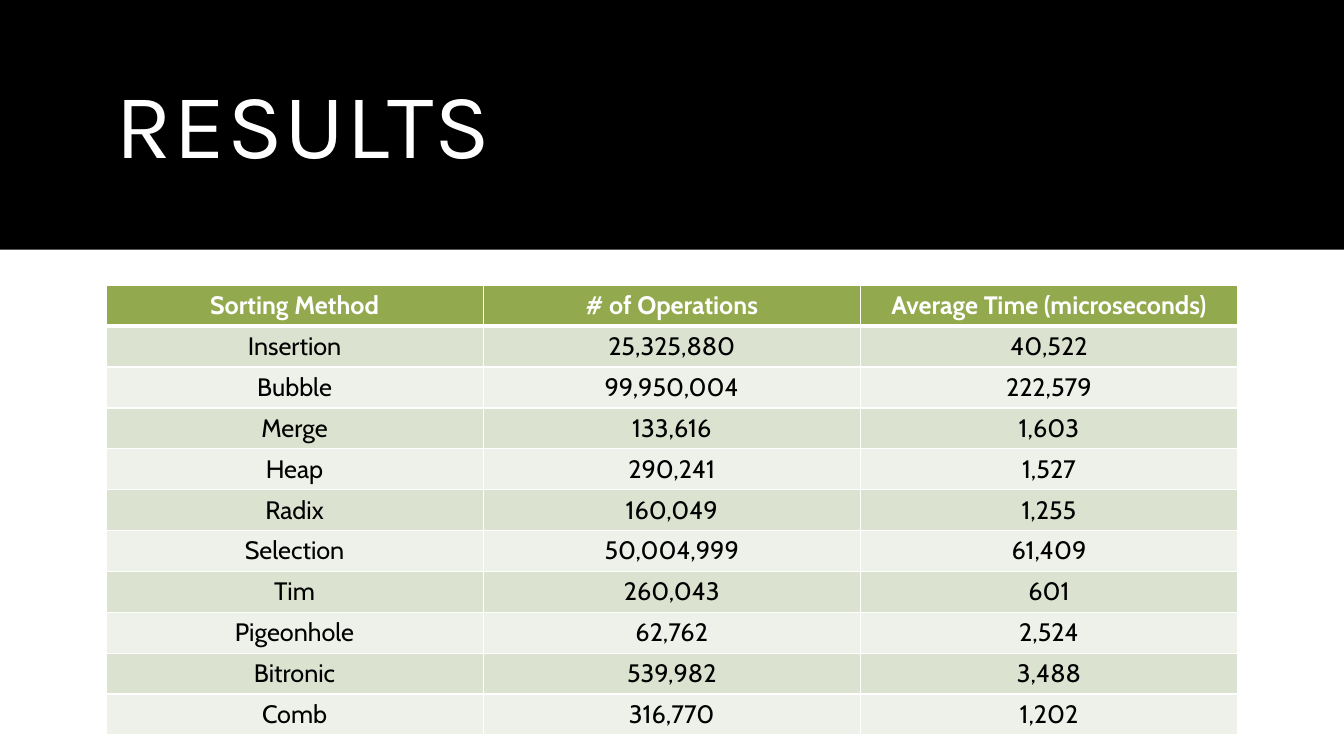
from lxml.etree import SubElement
from pptx import Presentation
from pptx.dml.color import RGBColor
from pptx.enum.shapes import MSO_SHAPE
from pptx.enum.text import MSO_ANCHOR, PP_ALIGN
from pptx.oxml.ns import qn
from pptx.util import Cm, Pt

BLACK = RGBColor(0x00, 0x00, 0x00)
WHITE = RGBColor(0xFF, 0xFF, 0xFF)
GREEN = RGBColor(0x93, 0xA9, 0x4E)
BANDS = [RGBColor(0xEE, 0xF1, 0xE9), RGBColor(0xDC, 0xE2, 0xD0)]

RESULTS = [
    ("Sorting Method", "# of Operations", "Average Time (microseconds)"),
    ("Insertion", "25,325,880", "40,522"),
    ("Bubble", "99,950,004", "222,579"),
    ("Merge", "133,616", "1,603"),
    ("Heap", "290,241", "1,527"),
    ("Radix", "160,049", "1,255"),
    ("Selection", "50,004,999", "61,409"),
    ("Tim", "260,043", "601"),
    ("Pigeonhole", "62,762", "2,524"),
    ("Bitronic", "539,982", "3,488"),
    ("Comb", "316,770", "1,202"),
]
LEFT, WIDTH = Cm(2.67), Cm(28.52)
ROW_HEIGHT = Cm(1.03)


def add_text(p, text, color, **formats):
    r = p.add_run()
    r.text = text
    r.font.color.rgb = color
    for name, value in formats.items():
        setattr(r.font, name, value)
    return r


def add_border(cell, side, points):
    ln = SubElement(cell._tc.get_or_add_tcPr(), qn(f"a:ln{side}"), w=str(Pt(points)))
    fill = SubElement(ln, qn("a:solidFill"))
    SubElement(fill, qn("a:srgbClr"), val=str(WHITE))


prs = Presentation()
prs.slide_width, prs.slide_height = Cm(33.87), Cm(19.05)
s = prs.slides.add_slide(prs.slide_layouts[6])

# Black title band
band = s.shapes.add_shape(MSO_SHAPE.RECTANGLE, 0, 0, prs.slide_width, Cm(6.29))
band.shadow.inherit = False
band.fill.solid()
band.fill.fore_color.rgb = BLACK
band.line.fill.background()

# Title
title = s.shapes.add_textbox(LEFT, Cm(0.89), WIDTH, Cm(4.72))
tf = title.text_frame
tf.word_wrap = True
tf.vertical_anchor = MSO_ANCHOR.MIDDLE
p = tf.paragraphs[0]
p.line_spacing = 0.9
r = add_text(p, "RESULTS", WHITE, name="Karla", size=Pt(66))
r.font._element.set("spc", "120")

# Results table
table = s.shapes.add_table(len(RESULTS), 3, LEFT, Cm(7.19), WIDTH,
                           ROW_HEIGHT * len(RESULTS)).table
for i, values in enumerate(RESULTS):
    table.rows[i].height = ROW_HEIGHT
    header = i == 0
    for j, value in enumerate(values):
        cell = table.cell(i, j)
        widths = {"L": 1, "R": 1, "T": 3 if i == 1 else 1, "B": 3 if header else 1}
        for side, points in widths.items():
            add_border(cell, side, points)
        cell.fill.solid()
        cell.fill.fore_color.rgb = GREEN if header else BANDS[i % 2]
        p = cell.text_frame.paragraphs[0]
        p.alignment = PP_ALIGN.CENTER
        add_text(p, value, WHITE if header else BLACK,
                 name="Cabin", size=Pt(18), bold=header)

prs.save("out.pptx")
